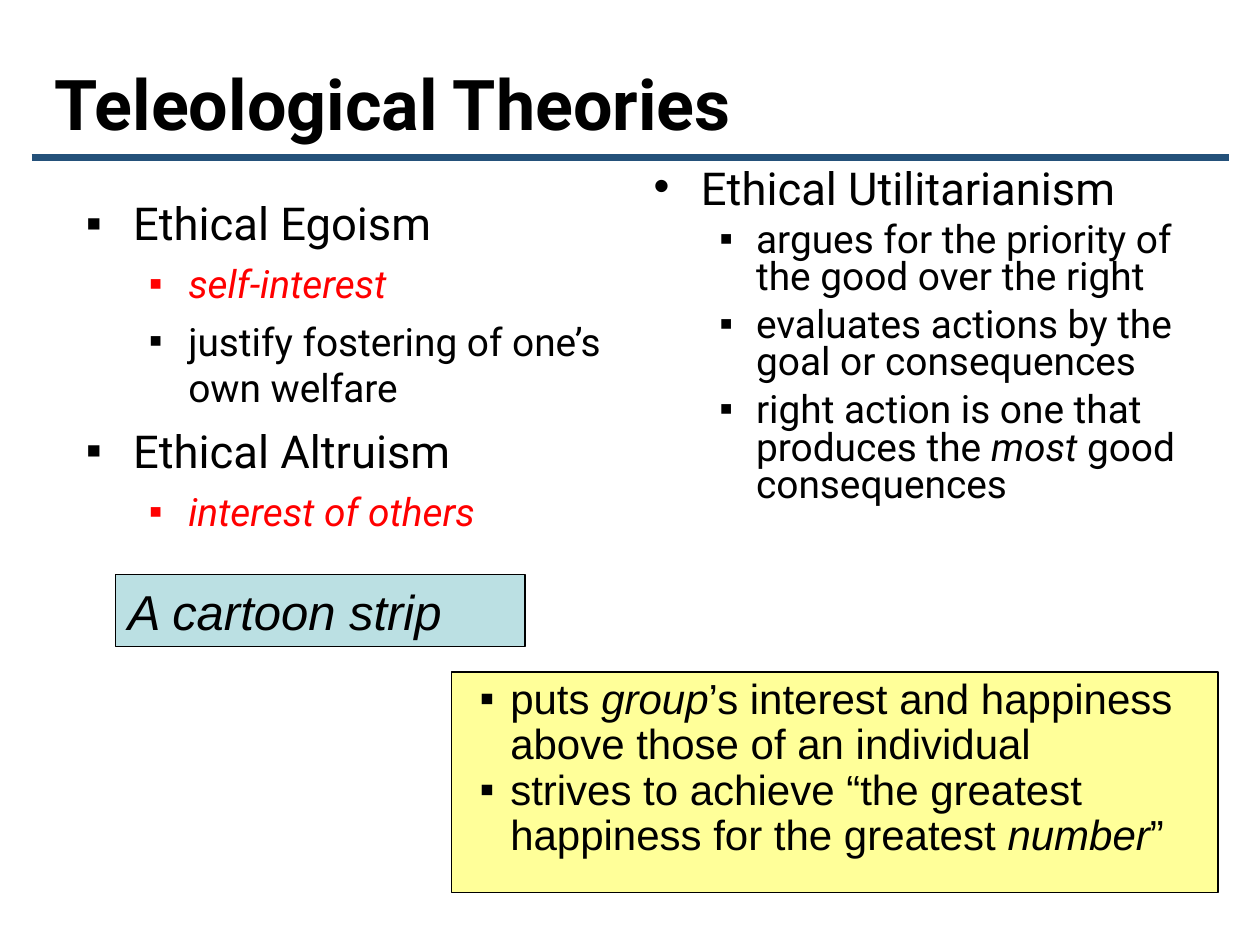
from dataclasses import dataclass

from lxml import etree
from pptx import Presentation
from pptx.dml.color import RGBColor
from pptx.enum.shapes import MSO_CONNECTOR, MSO_SHAPE
from pptx.enum.text import MSO_ANCHOR, MSO_AUTO_SIZE, PP_ALIGN
from pptx.oxml.ns import qn
from pptx.util import Pt

STRAIGHT = MSO_CONNECTOR.STRAIGHT
RECTANGLE = MSO_SHAPE.RECTANGLE
TOP, MIDDLE = MSO_ANCHOR.TOP, MSO_ANCHOR.MIDDLE
LEFT = PP_ALIGN.LEFT
FIXED = MSO_AUTO_SIZE.NONE
TITLE_ONLY = 5


@dataclass(frozen=True)
class Theme:
    black: str = "000000"
    red: str = "FF0000"
    rule: str = "24517A"
    aqua: str = "BBE0E3"
    yellow: str = "FFFF99"
    heading_font: str = "Roboto"
    box_font: str = "Arial"
    title_size: float = 40
    topic_size: float = 25.9
    point_size: float = 22.2
    cartoon_size: float = 28
    note_size: float = 24


THEME = Theme()


@dataclass(frozen=True)
class Level:
    """Format of one kind of bulleted paragraph, lengths in points."""
    depth: int
    size: float
    margin: float
    hang: float
    before: float
    spacing: float = 1.0
    bullet: str = "▪"
    font: str = THEME.heading_font


TOPIC = Level(0, THEME.topic_size, 27, 27, 7)
POINT = Level(1, THEME.point_size, 58.5, 22.5, 6)
TIGHT_TOPIC = Level(0, THEME.topic_size, 27, 27, 7, 0.7, "•")
TIGHT_POINT = Level(1, THEME.point_size, 58.5, 21, 6, 0.8)
NOTE = Level(1, THEME.note_size, 26.5, 17.5, 0, 0.9, font=THEME.box_font)


def rgb(value):
    return RGBColor.from_string(value)


def format_frame(frame, anchor=TOP):
    settings = {"word_wrap": True, "auto_size": FIXED, "vertical_anchor": anchor}
    for name, value in settings.items():
        setattr(frame, name, value)


def add_run(paragraph, text, font, size, color=THEME.black, **styles):
    run = paragraph.add_run()
    run.text = text
    settings = {"name": font, "size": Pt(size), **styles}
    for name, value in settings.items():
        setattr(run.font, name, value)
    run.font.color.rgb = rgb(color)


def add_bullet(paragraph, level, color):
    properties = paragraph._p.get_or_add_pPr()
    properties.set("marL", str(Pt(level.margin)))
    properties.set("indent", str(-Pt(level.hang)))
    bullet_color = etree.SubElement(properties, qn("a:buClr"))
    etree.SubElement(bullet_color, qn("a:srgbClr"), val=color)
    etree.SubElement(properties, qn("a:buFont"), typeface=THEME.box_font)
    etree.SubElement(properties, qn("a:buChar"), char=level.bullet)


def fill_list(frame, items):
    """Write (level, text, color) items; asterisks enclose italic words."""
    format_frame(frame)
    for index, (level, text, color) in enumerate(items):
        paragraph = frame.add_paragraph() if index else frame.paragraphs[0]
        add_bullet(paragraph, level, color)
        settings = {
            "level": level.depth,
            "alignment": LEFT,
            "line_spacing": level.spacing,
            "space_before": Pt(level.before if index else 0),
        }
        for name, value in settings.items():
            setattr(paragraph, name, value)
        for part, words in enumerate(text.split("*")):
            if words:
                add_run(paragraph, words, level.font, level.size, color,
                        italic=part % 2 == 1)


def set_title(slide, text, box):
    title = slide.shapes.title
    for name, value in zip(("left", "top", "width", "height"), box):
        setattr(title, name, Pt(value))
    format_frame(title.text_frame, MIDDLE)
    paragraph = title.text_frame.paragraphs[0]
    paragraph.alignment = LEFT
    add_run(paragraph, text, THEME.heading_font, THEME.title_size, bold=True)


def add_rule(slide, left, right, y):
    rule = slide.shapes.add_connector(STRAIGHT, Pt(left), Pt(y), Pt(right), Pt(y))
    rule.line.color.rgb = rgb(THEME.rule)
    rule.line.width = Pt(4.5)
    etree.SubElement(rule._element.spPr, qn("a:effectLst"))


def add_column(slide, box, items):
    column = slide.shapes.add_textbox(*map(Pt, box))
    fill_list(column.text_frame, items)


def add_panel(slide, box, color):
    panel = slide.shapes.add_shape(RECTANGLE, *map(Pt, box))
    panel.shadow.inherit = False
    panel.fill.solid()
    panel.fill.fore_color.rgb = rgb(color)
    panel.line.color.rgb = rgb(THEME.black)
    panel.line.width = Pt(0.75)
    format_frame(panel.text_frame)
    return panel.text_frame


def main():
    presentation = Presentation()
    presentation.slide_width, presentation.slide_height = Pt(720), Pt(540)
    slide = presentation.slides.add_slide(presentation.slide_layouts[TITLE_ONLY])

    # Heading
    add_rule(slide, 18, 702, 90)
    set_title(slide, "Teleological Theories", (24, 21.5, 660, 74))

    # Two columns of theories
    add_column(slide, (42, 108, 318, 204), [
        (TOPIC, "Ethical Egoism", THEME.black),
        (POINT, "*self-interest*", THEME.red),
        (POINT, "justify fostering of one’s own welfare", THEME.black),
        (TOPIC, "Ethical Altruism", THEME.black),
        (POINT, "*interest of others*", THEME.red),
    ])
    add_column(slide, (366.5, 96.5, 318, 240), [
        (TIGHT_TOPIC, "Ethical Utilitarianism", THEME.black),
        (TIGHT_POINT, "argues for the priority of the good over the right",
         THEME.black),
        (TIGHT_POINT, "evaluates actions by the goal or consequences",
         THEME.black),
        (TIGHT_POINT, "right action is one that produces the *most* good "
         "consequences", THEME.black),
    ])

    # Cartoon label
    cartoon = add_panel(slide, (66, 328.5, 234, 41), THEME.aqua).paragraphs[0]
    cartoon.alignment = LEFT
    add_run(cartoon, "A cartoon strip", THEME.box_font, THEME.cartoon_size,
            italic=True)

    # Notes on utilitarianism
    fill_list(add_panel(slide, (258, 384, 438, 126), THEME.yellow), [
        (NOTE, "puts *group*’s interest and happiness above those of an "
         "individual", THEME.black),
        (NOTE, "strives to achieve “the greatest happiness for the greatest "
         "*number*”", THEME.black),
    ])

    presentation.save("out.pptx")


if __name__ == "__main__":
    main()
